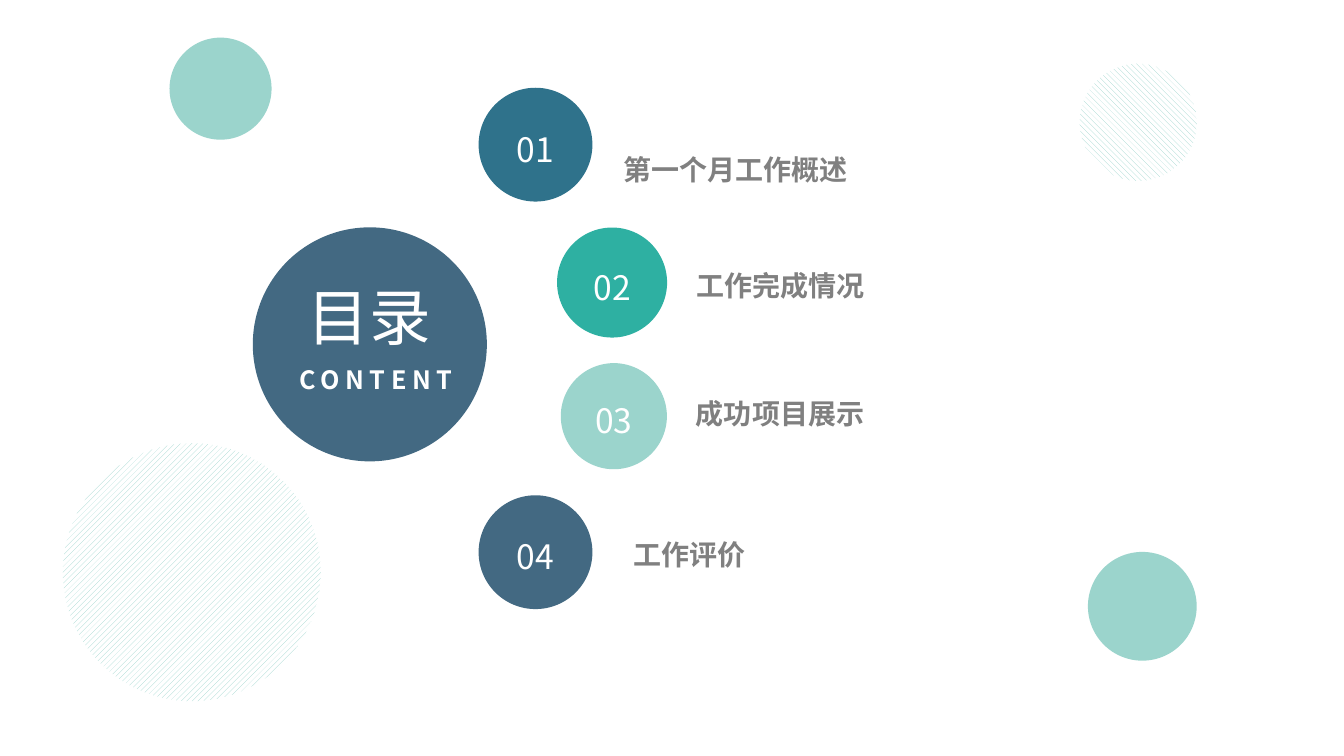
from lxml.etree import SubElement
from pptx import Presentation
from pptx.dml.color import RGBColor
from pptx.enum.dml import MSO_PATTERN
from pptx.enum.shapes import MSO_SHAPE
from pptx.enum.text import MSO_ANCHOR, MSO_AUTO_SIZE, PP_ALIGN
from pptx.oxml.ns import qn
from pptx.util import Pt

FONT = "Noto Sans CJK SC"
WHITE = RGBColor(0xFF, 0xFF, 0xFF)
GREY = RGBColor(0x80, 0x80, 0x80)
SLATE = RGBColor(0x43, 0x69, 0x82)
BLUE = RGBColor(0x2F, 0x72, 0x8B)
TEAL = RGBColor(0x2E, 0xB0, 0xA2)
MINT = RGBColor(0x9B, 0xD4, 0xCC)

# Label, circle (left, top, diameter), circle colour, label box (left, top, width)
CHAPTERS = [
    ("第一个月工作概述", (341.9, 62.7, 81.3), BLUE, (407.5, 104.4, 236.2)),
    ("工作完成情况", (397.9, 162.5, 78.6), TEAL, (493.2, 187.2, 128.2)),
    ("成功项目展示", (400.6, 259.4, 75.8), MINT, (479.5, 278.6, 155.5)),
    ("工作评价", (341.9, 353.8, 81.3), SLATE, (449.3, 379.4, 87.1)),
]
LABEL_HEIGHT = 28.8

# Circle (left, top, diameter), hatching or None for a solid fill
DECORATIONS = [
    ((777.1, 394.2, 77.7), None),
    ((121.1, 26.9, 72.9), None),
    ((44.9, 316.6, 184.3), MSO_PATTERN.WIDE_UPWARD_DIAGONAL),
    ((771.2, 45.5, 83.7), MSO_PATTERN.WIDE_DOWNWARD_DIAGONAL),
]
HUB = (180.6, 162.4, 167.2)
TITLE_BOX = (212.4, 195.8, 103.7, 60.5)
SUBTITLE_BOX = (205.9, 257, 125.3, 28.8)


def write_text(shape, text, size, color=WHITE, bold=False, align=PP_ALIGN.CENTER,
               anchor=MSO_ANCHOR.MIDDLE, line_spacing=1.0, letter_spacing=0,
               margins=(0, 0), wrap=True):
    frame = shape.text_frame
    frame.auto_size = MSO_AUTO_SIZE.NONE
    frame.word_wrap = wrap
    frame.vertical_anchor = anchor
    frame.margin_left = frame.margin_right = Pt(margins[0])
    frame.margin_top = frame.margin_bottom = Pt(margins[1])
    paragraph = frame.paragraphs[0]
    paragraph.alignment = align
    paragraph.line_spacing = line_spacing
    run = paragraph.add_run()
    run.text = text
    font = run.font
    font.name, font.size, font.bold = FONT, Pt(size), bold
    font.color.rgb = color
    properties = run._r.get_or_add_rPr()
    SubElement(properties, qn("a:ea")).set("typeface", FONT)
    if letter_spacing:
        properties.set("spc", str(letter_spacing * 100))


def add_circle(slide, circle, color, pattern=None):
    left, top, diameter = map(Pt, circle)
    shape = slide.shapes.add_shape(MSO_SHAPE.OVAL, left, top, diameter, diameter)
    shape.shadow.inherit = False
    shape.line.fill.background()
    if pattern is None:
        shape.fill.solid()
        shape.fill.fore_color.rgb = color
    else:
        shape.fill.patterned()
        shape.fill.pattern = pattern
        shape.fill.fore_color.rgb = color
        shape.fill.back_color.rgb = WHITE
    return shape


def add_text(slide, box, text, **text_format):
    shape = slide.shapes.add_textbox(*map(Pt, box))
    write_text(shape, text, **text_format)


def main():
    presentation = Presentation()
    presentation.slide_width, presentation.slide_height = Pt(960), Pt(540)
    slide = presentation.slides.add_slide(presentation.slide_layouts[5])

    for number, (label, circle, color, (left, top, width)) in enumerate(CHAPTERS, 1):
        write_text(add_circle(slide, circle, color), f"{number:02}", size=24,
                   line_spacing=1.2, margins=(1.4, 1.4))
        add_text(slide, (left, top, width, LABEL_HEIGHT), label, size=20,
                 color=GREY, bold=True, line_spacing=1.2)

    add_circle(slide, HUB, SLATE)
    title = slide.shapes.title
    title.left, title.top, title.width, title.height = map(Pt, TITLE_BOX)
    write_text(title, "目录", size=44, align=PP_ALIGN.LEFT, anchor=MSO_ANCHOR.TOP,
               margins=(7.2, 3.6), wrap=False)
    # The title must lie in front of the hub circle
    title.element.getparent().append(title.element)
    add_text(slide, SUBTITLE_BOX, "CONTENT", size=18, bold=True, letter_spacing=4,
             anchor=MSO_ANCHOR.TOP, margins=(7.2, 3.6), wrap=False)

    for circle, pattern in DECORATIONS:
        add_circle(slide, circle, MINT, pattern)

    presentation.save("out.pptx")


if __name__ == "__main__":
    main()
